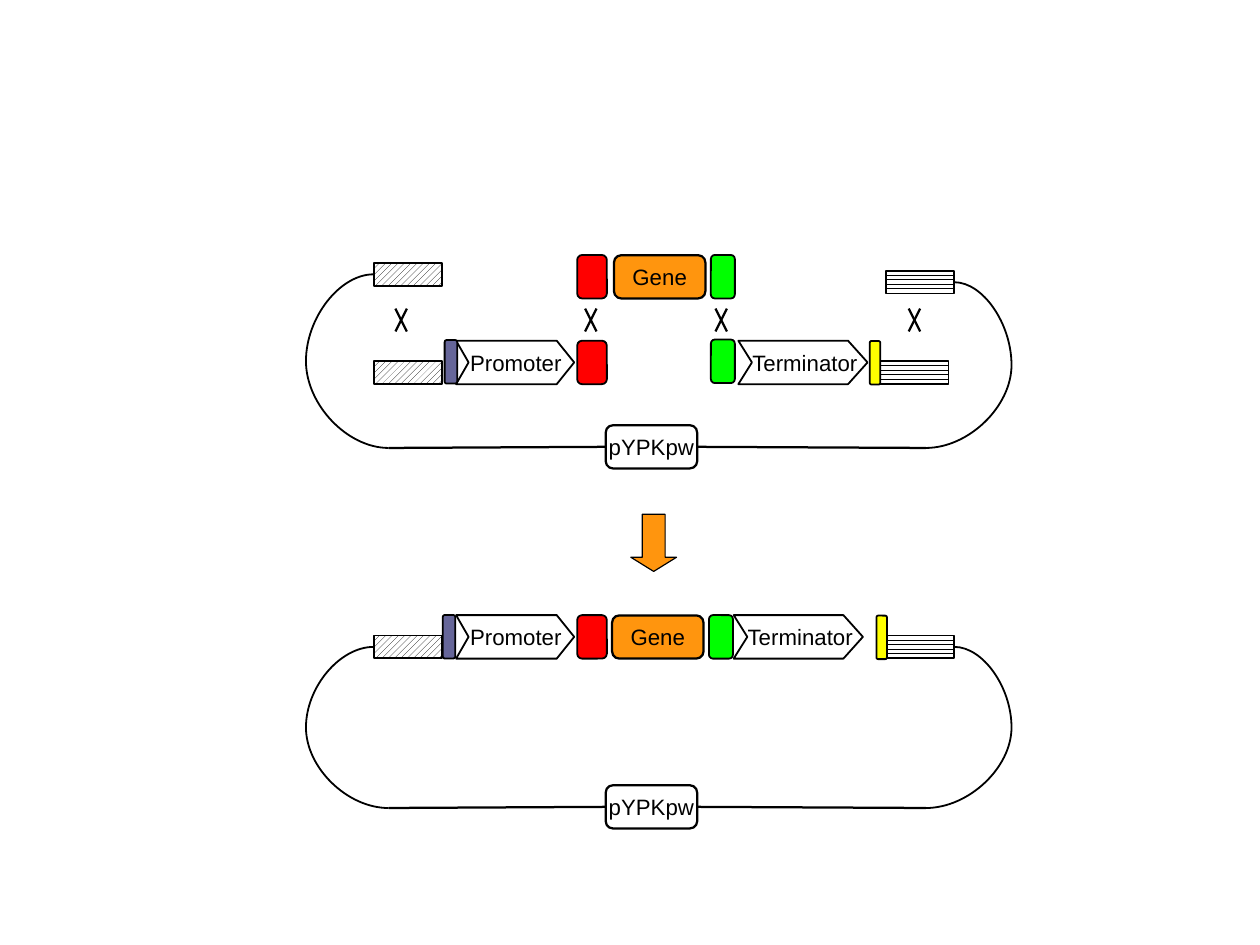
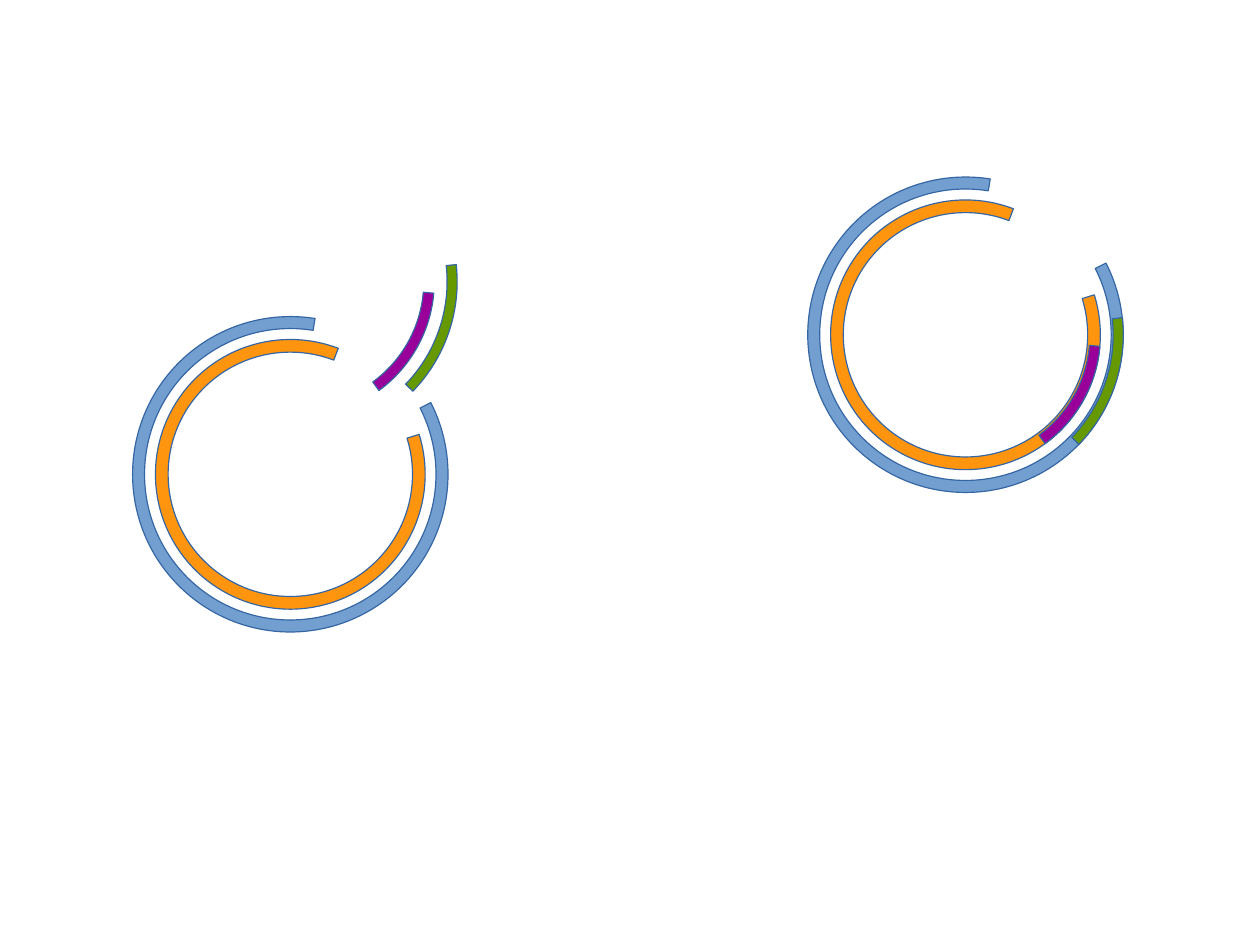
"""Two slides on plasmid assembly: homologous recombination and annealed strands."""
from lxml import etree
from pptx import Presentation
from pptx.dml.color import RGBColor
from pptx.enum import dml, shapes, text
from pptx.oxml.ns import qn
from pptx.util import Pt

COLOURS = {
    "black": "000000", "white": "FFFFFF", "red": "FF0000", "green": "00FF00",
    "yellow": "FFFF00", "slate": "666699", "orange": "FF950E", "blue": "729FCF",
    "purple": "990099", "olive": "669900", "edge": "3465A4",
}
RGB = {name: RGBColor.from_string(value) for name, value in COLOURS.items()}
THIN, BOLD = 1.13, 1.42
PRESET = shapes.MSO_SHAPE
LINK = shapes.MSO_CONNECTOR


def style_shape(shape, fill=None, line=THIN, edge="black", label="", align="CENTER", inset=7.9):
    shape.shadow.inherit = False
    if fill:
        shape.fill.solid()
        shape.fill.fore_color.rgb = RGB[fill]
    else:
        shape.fill.background()
    shape.line.color.rgb = RGB[edge]
    shape.line.width = Pt(line)
    if label:
        frame = shape.text_frame
        frame.text = label
        frame.word_wrap = False
        frame.vertical_anchor = text.MSO_ANCHOR.MIDDLE
        frame.margin_left = frame.margin_right = Pt(inset)
        para = frame.paragraphs[0]
        para.alignment = getattr(text.PP_ALIGN, align)
        font = para.runs[0].font
        font.name, font.size, font.color.rgb = "Arial", Pt(14), RGB["black"]
    return shape


def add_line(page, kind, start, end, width):
    line = page.shapes.add_connector(kind, *[Pt(v) for v in (*start, *end)])
    line.line.color.rgb = RGB["black"]
    line.line.width = Pt(width)
    etree.SubElement(line._element.spPr, qn("a:effectLst"))
    return line


deck = Presentation()
deck.slide_width, deck.slide_height = Pt(793.7), Pt(595.3)
blank = deck.slide_layouts[6]
page = deck.slides.add_slide(blank)

arrows = [
    ("Promoter", 287.3, 214.6, 7.9, 63.4, 74.4),
    ("Terminator", 465.1, 214.6, 8.6, 69.1, 81.4),
    ("Promoter", 287.3, 387.5, 7.9, 63.4, 74.4),
    ("Terminator", 462.2, 387.5, 8.6, 69.1, 81.4),
]
for label, left, top, notch, shoulder, tip in arrows:
    middle, bottom = top + 13.7, top + 27.4
    corners = [(left + shoulder, top), (left + tip, middle), (left + shoulder, bottom),
               (left, bottom), (left + notch, middle)]
    builder = page.shapes.build_freeform(Pt(left), Pt(top), scale=1.0)
    builder.add_line_segments([(Pt(x), Pt(y)) for x, y in corners], close=True)
    style_shape(builder.convert_to_shape(), label=label, align="LEFT", inset=8.8)

hatches = {
    "WIDE_UPWARD_DIAGONAL": [(235.4, 165.6), (235.4, 227.5), (235.4, 400.3)],
    "HORIZONTAL": [(558, 170.6), (554.4, 227.5), (558, 400.3)],
}
for pattern, places in hatches.items():
    for left, top in places:
        box = page.shapes.add_shape(PRESET.RECTANGLE, Pt(left), Pt(top), Pt(43.2), Pt(14.4))
        style_shape(box)
        box.fill.patterned()
        box.fill.pattern = getattr(dml.MSO_PATTERN, pattern)
        box.fill.fore_color.rgb = RGB["black"]
        box.fill.back_color.rgb = RGB["white"]

blocks = [
    ("red", 18.7, [(363.6, 160.6), (363.6, 214.6), (363.6, 387.5)]),
    ("green", 15.1, [(447.8, 160.6), (447.8, 213.9), (446.6, 387.5)]),
    ("slate", 7.9, [(280.1, 214.2), (278.9, 387.4)]),
    ("yellow", 6.6, [(547.9, 214.8), (552.1, 387.8)]),
]
for colour, width, places in blocks:
    for left, top in places:
        box = page.shapes.add_shape(PRESET.ROUNDED_RECTANGLE, Pt(left), Pt(top), Pt(width), Pt(27.4))
        style_shape(box, colour)

for left, top in [(386.8, 160.8), (385.6, 387.7)]:
    gene = page.shapes.add_shape(PRESET.ROUNDED_RECTANGLE, Pt(left), Pt(top), Pt(57.6), Pt(27.2))
    style_shape(gene, "orange", BOLD, label="Gene")

for centre in (252.7, 372.2, 454.3, 576):
    for side in (-3.6, 3.6):
        add_line(page, LINK.STRAIGHT, (centre + side, 194.4), (centre - side, 208.8), BOLD)

for left_top, right_top, bottom in [(172.8, 177.8, 282.2), (407.5, 407.5, 509)]:
    plasmid = page.shapes.add_shape(
        PRESET.ROUNDED_RECTANGLE, Pt(381.6), Pt(bottom - 14.3), Pt(57.6), Pt(27.2))
    style_shape(plasmid, line=BOLD, label="pYPKpw")
    sides = [(235.4, left_top, 244.8, 192.8, 1), (601.2, right_top, 583.2, 637.2, 3)]
    for start, top, end, bulge, site in sides:
        curve = add_line(page, LINK.CURVE, (start, top), (end, bottom), THIN)
        bend = round((bulge - start) / (end - start) * 100000)
        values = curve._element.spPr.find(qn("a:prstGeom")).find(qn("a:avLst"))
        etree.SubElement(values, qn("a:gd"), name="adj1", fmla=f"val {bend}")
        backbone = add_line(page, LINK.STRAIGHT, (end, bottom), (410.4, bottom), BOLD)
        backbone.end_connect(plasmid, site)

step = page.shapes.add_shape(PRESET.DOWN_ARROW, Pt(397.4), Pt(324), Pt(28.8), Pt(36))
style_shape(step, "orange", 0)
step.adjustments[1] = 0.31

page = deck.slides.add_slide(blank)
strands = {
    "orange": (169.9, 10.8, 79.97, 28.03, 0.047),
    "blue": (198.7, 0, 80.97, 27.03, 0.038),
    "purple": (169.9, 191.4, 137.53, 186.47, 0.039),
    "olive": (198.7, 180.9, 136.89, 187.12, 0.032),
}
rings = [
    (608.2, 210.9, ["orange", "blue", "purple", "olive"]),
    (188.6, 177.4, ["purple", "olive"]),
    (182.9, 298.8, ["orange", "blue"]),
]
for centre_x, centre_y, colours in rings:
    for colour in colours:
        size, turn, first, last, thickness = strands[colour]
        arc = page.shapes.add_shape(
            PRESET.BLOCK_ARC, Pt(centre_x - size / 2), Pt(centre_y - size / 2), Pt(size), Pt(size))
        style_shape(arc, colour, 0, "edge")
        arc.rotation = turn
        arc._element.spPr.find(qn("a:xfrm")).set("flipV", "1")
        for index, value in enumerate((first * 0.6, last * 0.6, thickness)):
            arc.adjustments[index] = value

deck.save("out.pptx")
